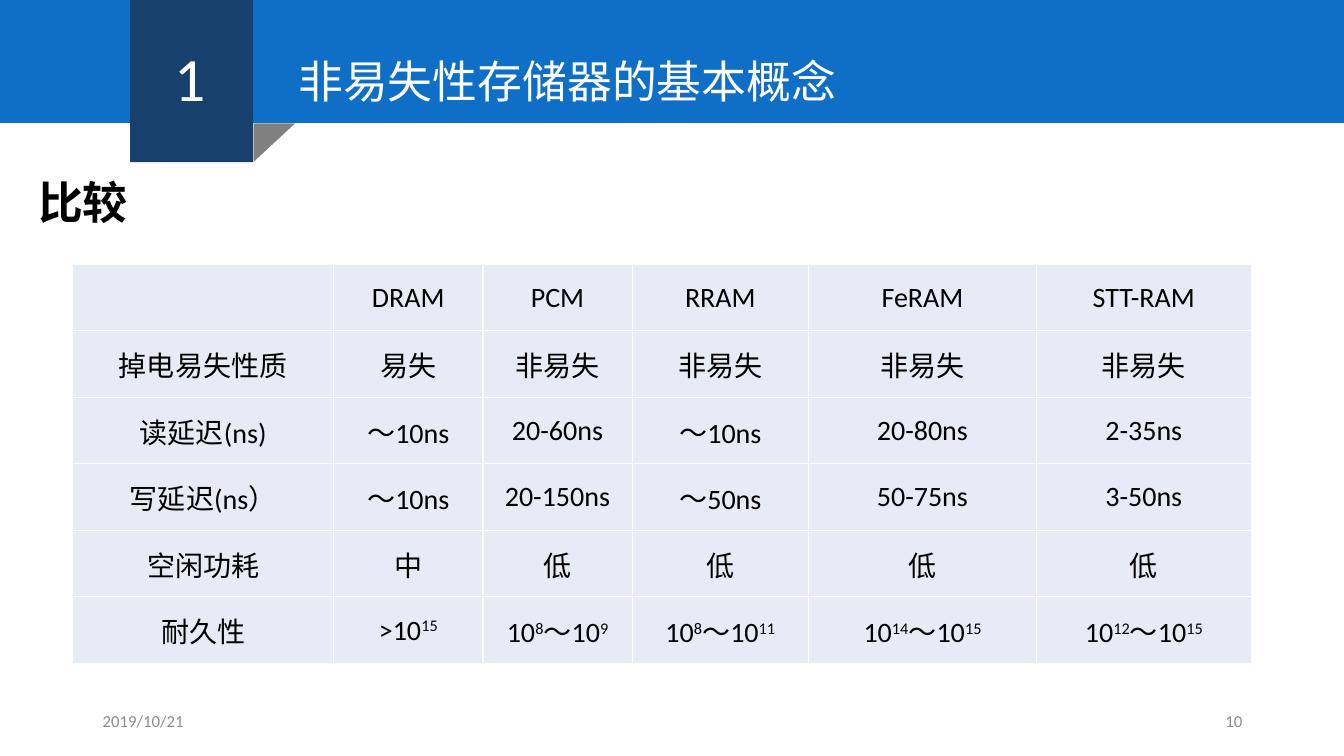
"""Build the slide that compares volatile and non-volatile memories."""
import dataclasses
import typing

import lxml.etree
import pptx
import pptx.dml.color
import pptx.enum.shapes
import pptx.enum.text
import pptx.oxml.ns
import pptx.util

Inches = pptx.util.Inches
RGBColor = pptx.dml.color.RGBColor
Kind = pptx.enum.shapes.MSO_SHAPE
Align = pptx.enum.text.PP_ALIGN
Anchor = pptx.enum.text.MSO_ANCHOR
Fit = pptx.enum.text.MSO_AUTO_SIZE

BLUE = RGBColor(0x0F, 0x6F, 0xC6)
NAVY = RGBColor(0x17, 0x40, 0x6D)
FOLD = RGBColor(0x80, 0x80, 0x80)
GRAY = RGBColor(0x8C, 0x8C, 0x8C)
PALE = RGBColor(0xE7, 0xEB, 0xF5)
WHITE = RGBColor(0xFF, 0xFF, 0xFF)
BLACK = RGBColor(0x00, 0x00, 0x00)
FONT = "Calibri"

Box = tuple[float, float, float, float]


@dataclasses.dataclass(frozen=True)
class Block:
    kind: Kind
    box: Box
    fill: RGBColor
    turn: float = 0


@dataclasses.dataclass(frozen=True)
class Label:
    text: str
    box: Box
    size: int
    color: RGBColor
    bold: bool = False
    align: Align = Align.LEFT
    anchor: Anchor = Anchor.TOP
    fit: Fit = Fit.SHAPE_TO_FIT_TEXT


FOOT = {"size": 12, "color": GRAY, "anchor": Anchor.MIDDLE, "fit": Fit.NONE}

BLOCKS = (
    Block(Kind.RECTANGLE, (0, 0, 13.33, 1.22), BLUE),
    Block(Kind.RECTANGLE, (1.29, 0, 1.22, 1.61), NAVY),
    Block(Kind.RIGHT_TRIANGLE, (2.53, 1.21, 0.38, 0.41), FOLD, 90),
)
LABELS = (
    Label("1", (1.63, 0.35, 0.54, 0.84), 44, WHITE),
    Label("非易失性存储器的基本概念", (2.86, 0.48, 6.02, 0.64), 32, WHITE),
    Label("2019/10/21", (0.92, 6.95, 3, 0.4), **FOOT),
    Label("10", (9.42, 6.95, 3, 0.4), align=Align.RIGHT, **FOOT),
    Label("比较", (0.28, 1.68, 7.98, 0.64), 32, BLACK, bold=True),
)

WIDTHS = (2.59, 1.48, 1.48, 1.75, 2.26, 2.13)
HEIGHT = 0.66
ROWS = (
    ("", "DRAM", "PCM", "RRAM", "FeRAM", "STT-RAM"),
    ("掉电易失性质", "易失", "非易失", "非易失", "非易失", "非易失"),
    ("读延迟(ns)", "～10ns", "20-60ns", "～10ns", "20-80ns", "2-35ns"),
    ("写延迟(ns）", "～10ns", "20-150ns", "～50ns", "50-75ns", "3-50ns"),
    ("空闲功耗", "中", "低", "低", "低", "低"),
    ("耐久性", ">10^15", "10^8^～10^9", "10^8^～10^11",
     "10^14^～10^15", "10^12^～10^15"),
)
CELL = {
    "vertical_anchor": Anchor.MIDDLE,
    "margin_left": Inches(0.01),
    "margin_right": Inches(0.01),
    "margin_top": Inches(0.01),
    "margin_bottom": Inches(0),
}


def apply(target: typing.Any, form: dict[str, typing.Any]) -> None:
    for name, value in form.items():
        setattr(target, name, value)


def style(font: typing.Any, size: int, color: RGBColor, bold: bool = False) -> None:
    apply(font, {"name": FONT, "size": pptx.util.Pt(size), "bold": bold})
    font.color.rgb = color


def place(box: Box) -> list[int]:
    return [Inches(length) for length in box]


def draw_block(shapes: typing.Any, block: Block) -> None:
    shape = shapes.add_shape(block.kind, *place(block.box))
    shape.shadow.inherit = False
    shape.rotation = block.turn
    shape.fill.solid()
    shape.fill.fore_color.rgb = block.fill
    shape.line.fill.background()


def draw_label(shapes: typing.Any, label: Label) -> None:
    frame = shapes.add_textbox(*place(label.box)).text_frame
    apply(frame, {"word_wrap": True, "auto_size": label.fit,
                  "vertical_anchor": label.anchor})
    para = frame.paragraphs[0]
    para.alignment = label.align
    run = para.add_run()
    run.text = label.text
    style(run.font, label.size, label.color, label.bold)


def add_edges(cell: typing.Any) -> None:
    props = cell._tc.get_or_add_tcPr()
    name = pptx.oxml.ns.qn
    for side in ("lnL", "lnR", "lnT", "lnB"):
        edge = lxml.etree.SubElement(props, name(f"a:{side}"), w="12700")
        solid = lxml.etree.SubElement(edge, name("a:solidFill"))
        lxml.etree.SubElement(solid, name("a:srgbClr"), val=str(WHITE))


def fill_cell(cell: typing.Any, text: str) -> None:
    apply(cell, CELL)
    add_edges(cell)
    cell.fill.solid()
    cell.fill.fore_color.rgb = PALE
    para = cell.text_frame.paragraphs[0]
    para.alignment = Align.CENTER
    if not text:
        return
    for index, part in enumerate(text.split("^")):
        run = para.add_run()
        run.text = part
        style(run.font, 20, BLACK)
        if index % 2:
            run._r.get_or_add_rPr().set("baseline", "30000")


def draw_table(shapes: typing.Any) -> None:
    box = (0.72, 2.62, sum(WIDTHS), HEIGHT * len(ROWS))
    table = shapes.add_table(len(ROWS), len(WIDTHS), *place(box)).table
    apply(table, {"first_row": False, "horz_banding": False})
    for column, width in zip(table.columns, WIDTHS):
        column.width = Inches(width)
    for row, texts in zip(table.rows, ROWS):
        row.height = Inches(HEIGHT)
        for cell, text in zip(row.cells, texts):
            fill_cell(cell, text)


def main() -> None:
    deck = pptx.Presentation()
    apply(deck, {"slide_width": Inches(13.33), "slide_height": Inches(7.5)})
    shapes = deck.slides.add_slide(deck.slide_layouts[6]).shapes
    for block in BLOCKS:
        draw_block(shapes, block)
    for label in LABELS:
        draw_label(shapes, label)
    draw_table(shapes)
    deck.save("out.pptx")


if __name__ == "__main__":
    main()
